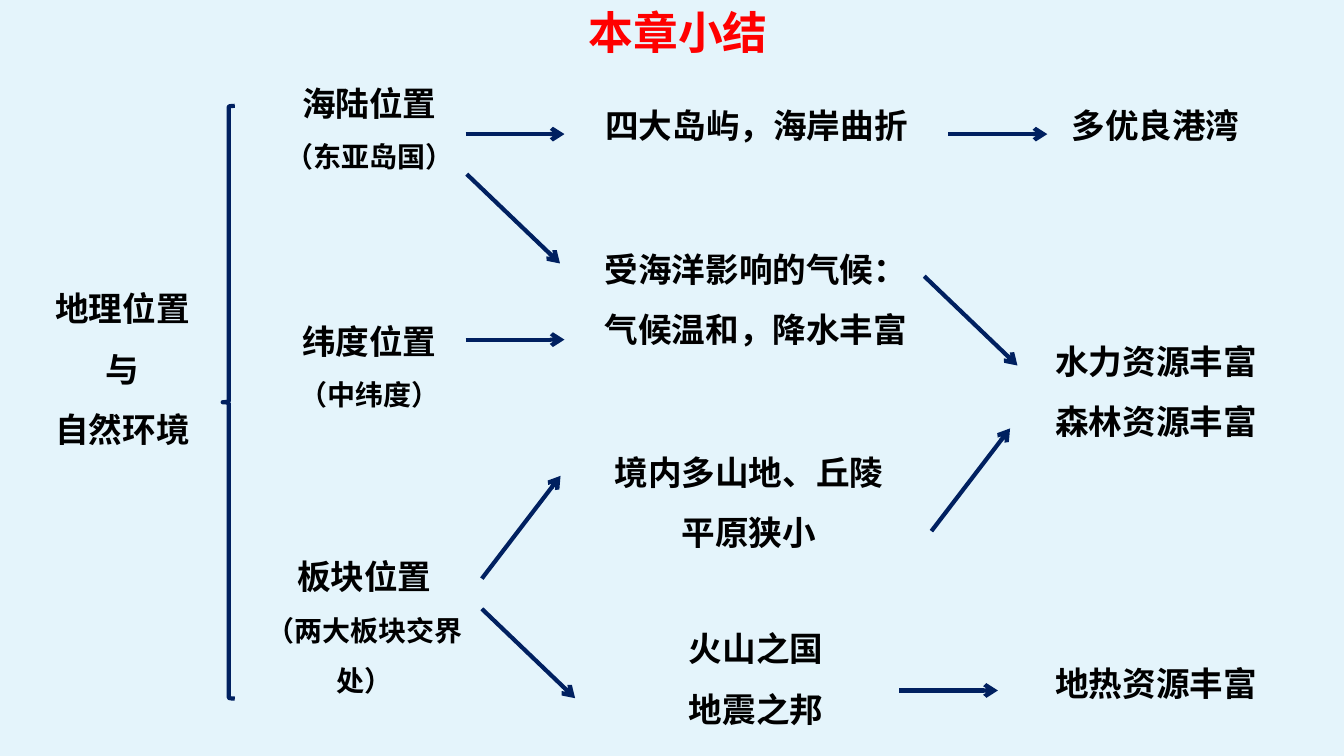
from dataclasses import dataclass
from lxml import etree
from pptx import Presentation
from pptx import util as u
from pptx.dml.color import RGBColor
from pptx.enum import shapes, text
from pptx.oxml.ns import qn


@dataclass(frozen=True)
class Theme:
    background: str = "E4F4FB"
    title: str = "FF0000"
    ink: str = "000000"
    line: str = "002060"
    latin: str = "Arial"
    chinese: str = "Noto Sans CJK SC"
    title_size: int = 32
    body_size: int = 24
    note_size: int = 20
    line_width: int = 3
    body_spacing: float = 1.5


THEME = Theme()
SLIDE_SIZE = (960, 540)
TITLE = ("本章小结", (413.3, 0, 159.1, 46))
BRACE = (159.1, 75.6, 8.6, 423.4)

TOPICS = [
    (["地理位置", "与", "自然环境"], (21.6, 187.9, 131.8, 138.2)),
    (["四大岛屿，海岸曲折"], (398.2, 56.9, 284.4, 51.1)),
    (["多优良港湾"], (739.4, 56.9, 172.1, 51.1)),
    (["受海洋影响的气候：", "气候温和，降水丰富"], (388.8, 159.8, 302.4, 94.3)),
    (["境内多山地、丘陵", "平原狭小"], (414.7, 304.6, 240.5, 94.3)),
    (["火山之国", "地震之邦"], (419.8, 430.6, 240.5, 94.3)),
    (["水力资源丰富", "森林资源丰富"], (705.6, 225.4, 240.5, 94.3)),
    (["地热资源丰富"], (705.6, 455.8, 240.5, 51.1)),
]
LOCATIONS = [
    ("海陆位置", "（东亚岛国）", (177.8, 41, 172.1, 87.1)),
    ("纬度位置", "（中纬度）", (177.8, 211, 172.1, 87.1)),
    ("板块位置", "（两大板块交界处）", (174.2, 379.4, 172.1, 123.8)),
]
ARROWS = [
    ((70.6, 0), [(332.6, 95.8), (677.5, 95.8), (332.6, 242.6), (642.2, 493.2)]),
    ((66.6, 63.8), [(333.4, 124.4), (660.2, 197.3), (344.2, 434.9)]),
    ((56.2, -73.4), [(344.2, 413.3), (665.3, 379.4)]),
]


def points(values):
    return [u.Pt(value) for value in values]


def color(value):
    return RGBColor.from_string(value)


def add_text(page, lines, area, ink, latin, align, spacing):
    box = page.shapes.add_textbox(*points(area))
    frame = box.text_frame
    frame.word_wrap = True
    for index, (words, size) in enumerate(lines):
        para = frame.add_paragraph() if index else frame.paragraphs[0]
        para.alignment = align
        para.line_spacing = spacing
        span = para.add_run()
        span.text = words
        span.font.name = latin
        span.font.size = u.Pt(size)
        span.font.bold = True
        span.font.color.rgb = color(ink)
        east_asian = etree.SubElement(span.font._element, qn("a:ea"))
        east_asian.set("typeface", THEME.chinese)


def add_body(page, lines, area):
    add_text(page, lines, area, THEME.ink, THEME.latin,
             text.PP_ALIGN.CENTER, THEME.body_spacing)


def style_line(line):
    line.color.rgb = color(THEME.line)
    line.width = u.Pt(THEME.line_width)


def add_brace(page):
    brace = page.shapes.add_shape(shapes.MSO_SHAPE.LEFT_BRACE, *points(BRACE))
    brace.shadow.inherit = False
    brace.fill.background()
    style_line(brace.line)


def add_arrow(page, start, shift):
    end = [origin + step for origin, step in zip(start, shift)]
    arrow = page.shapes.add_connector(
        shapes.MSO_CONNECTOR.STRAIGHT, *points([*start, *end]))
    style_line(arrow.line)
    properties = arrow._element.spPr
    etree.SubElement(properties.find(qn("a:ln")), qn("a:tailEnd"), type="arrow")
    etree.SubElement(properties, qn("a:effectLst"))


def main():
    deck = Presentation()
    deck.slide_width, deck.slide_height = points(SLIDE_SIZE)
    page = deck.slides.add_slide(deck.slide_layouts[6])
    page.background.fill.solid()
    page.background.fill.fore_color.rgb = color(THEME.background)

    words, area = TITLE
    add_text(page, [(words, THEME.title_size)], area, THEME.title,
             THEME.chinese, text.PP_ALIGN.LEFT, 1.0)
    add_brace(page)
    for lines, area in TOPICS:
        add_body(page, [(line, THEME.body_size) for line in lines], area)
    for name, note, area in LOCATIONS:
        add_body(page, [(name, THEME.body_size), (note, THEME.note_size)], area)
    for shift, starts in ARROWS:
        for start in starts:
            add_arrow(page, start, shift)
    deck.save("out.pptx")


if __name__ == "__main__":
    main()
